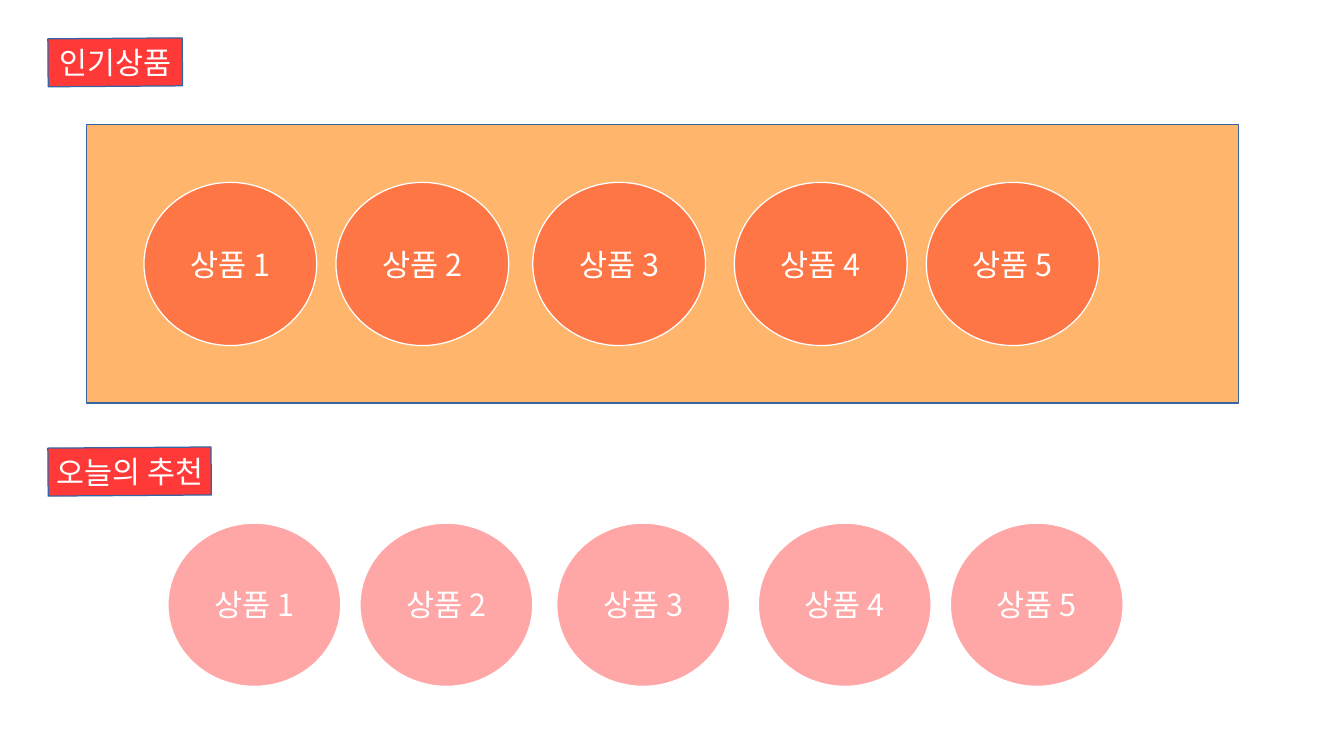
from dataclasses import dataclass

from lxml import etree
from pptx import Presentation
from pptx.dml.color import RGBColor
from pptx.enum.shapes import MSO_SHAPE
from pptx.enum.text import MSO_ANCHOR, PP_ALIGN
from pptx.oxml.ns import qn
from pptx.shapes.autoshape import Shape
from pptx.slide import Slide
from pptx.util import Cm, Length, Pt

RECTANGLE = MSO_SHAPE.RECTANGLE
OVAL = MSO_SHAPE.OVAL
MIDDLE = MSO_ANCHOR.MIDDLE
CENTER = PP_ALIGN.CENTER

WHITE = RGBColor(0xFF, 0xFF, 0xFF)
RED = RGBColor(0xFF, 0x00, 0x00)
LABEL_RED = RGBColor(0xFF, 0x38, 0x38)
ORANGE = RGBColor(0xFF, 0xB6, 0x6C)
BLUE = RGBColor(0x34, 0x65, 0xA4)

FONT = "Noto Sans CJK KR"
FONT_SIZE = Pt(18)
LABEL_TILT = 359.6
PRODUCT_OPACITY = 35

# The slide is a grid of half-centimetre cells
CELL_CM = 0.5
COLUMNS, ROWS = 56, 31.5
PRODUCT_WIDTH, PRODUCT_HEIGHT = 7.2, 6.8
PRODUCT_STEPS = (0, 8, 16.2, 24.6, 32.6)


@dataclass(frozen=True)
class Area:
    column: float
    row: float
    width: float
    height: float


@dataclass(frozen=True)
class Section:
    title: str
    label: Area
    first_column: float
    product_row: float


PANEL = Area(3.6, 5.2, 48, 11.6)
SECTIONS = (
    Section("인기상품", Area(2, 1.6, 5.6, 2), 6, 7.6),
    Section("오늘의 추천", Area(2, 18.65, 6.8, 2), 7, 21.8),
)


def cells(count: float) -> Length:
    return Cm(count * CELL_CM)


def add_box(page: Slide, kind: MSO_SHAPE, area: Area,
            fill: RGBColor, line: RGBColor) -> Shape:
    box = page.shapes.add_shape(kind, cells(area.column), cells(area.row),
                                cells(area.width), cells(area.height))
    box.shadow.inherit = False
    box.fill.solid()
    box.fill.fore_color.rgb = fill
    box.line.color.rgb = line
    box.line.width = Pt(0)
    return box


def write(box: Shape, text: str) -> None:
    frame = box.text_frame
    frame.word_wrap = False
    frame.vertical_anchor = MIDDLE
    frame.text = text
    para = frame.paragraphs[0]
    para.alignment = CENTER
    span = para.runs[0]
    span.font.size = FONT_SIZE
    span.font.name = FONT
    span.font.color.rgb = WHITE
    # Korean letters take the East Asian typeface
    etree.SubElement(span.font._element, qn("a:ea"), typeface=FONT)


def set_opacity(box: Shape, percent: int) -> None:
    color = box._element.spPr.find(qn("a:solidFill"))[0]
    etree.SubElement(color, qn("a:alpha"), val=str(percent * 1000))


def add_section(page: Slide, section: Section) -> None:
    # Tilted section label
    label = add_box(page, RECTANGLE, section.label, LABEL_RED, BLUE)
    label.rotation = LABEL_TILT
    write(label, section.title)

    # Row of products
    for number, step in enumerate(PRODUCT_STEPS, start=1):
        area = Area(section.first_column + step, section.product_row,
                    PRODUCT_WIDTH, PRODUCT_HEIGHT)
        product = add_box(page, OVAL, area, RED, WHITE)
        set_opacity(product, PRODUCT_OPACITY)
        write(product, f"상품 {number}")


def main() -> None:
    deck = Presentation()
    deck.slide_width, deck.slide_height = cells(COLUMNS), cells(ROWS)
    page = deck.slides.add_slide(deck.slide_layouts[6])

    # Panel behind the popular products
    add_box(page, RECTANGLE, PANEL, ORANGE, BLUE)
    for section in SECTIONS:
        add_section(page, section)
    deck.save("out.pptx")


if __name__ == "__main__":
    main()
